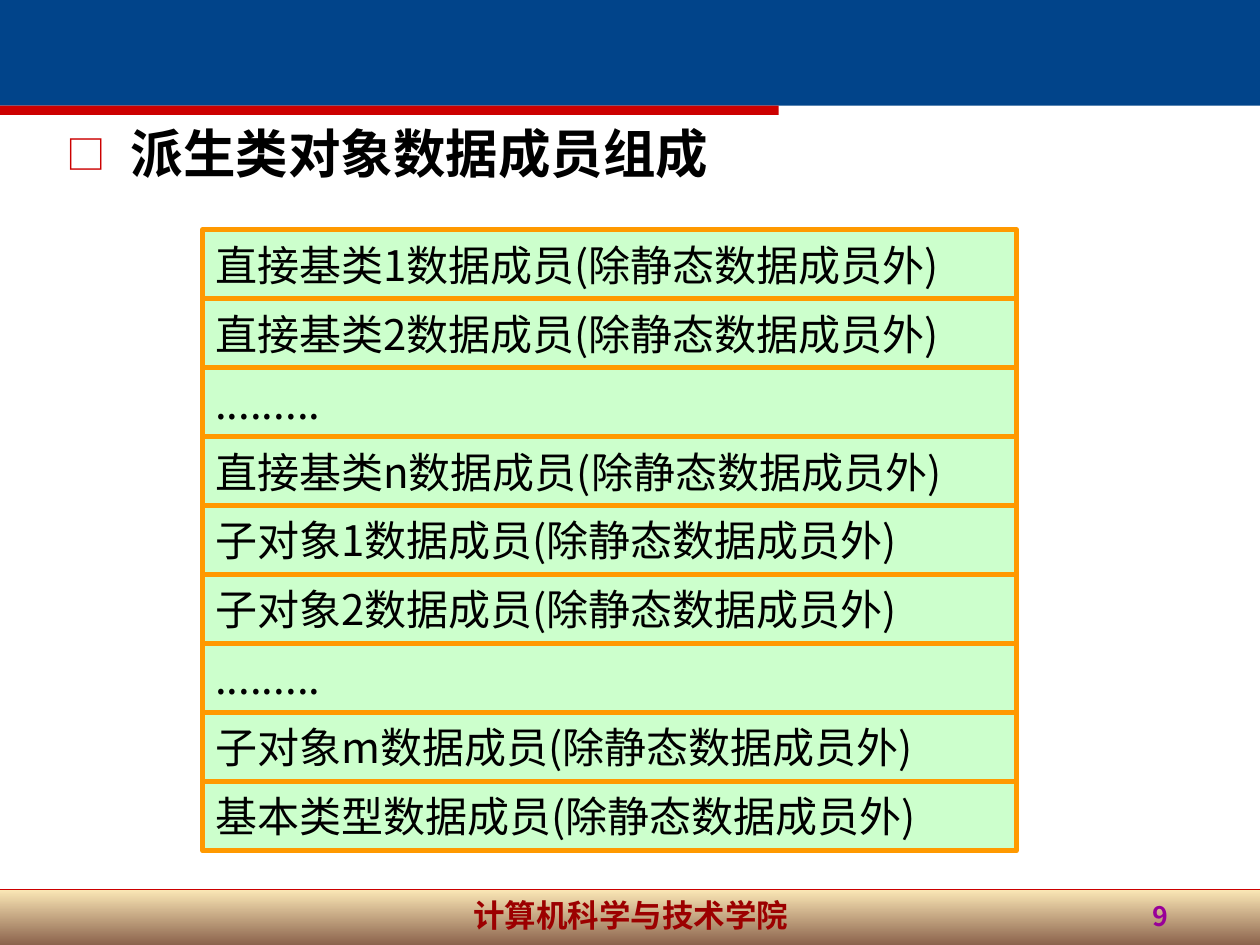
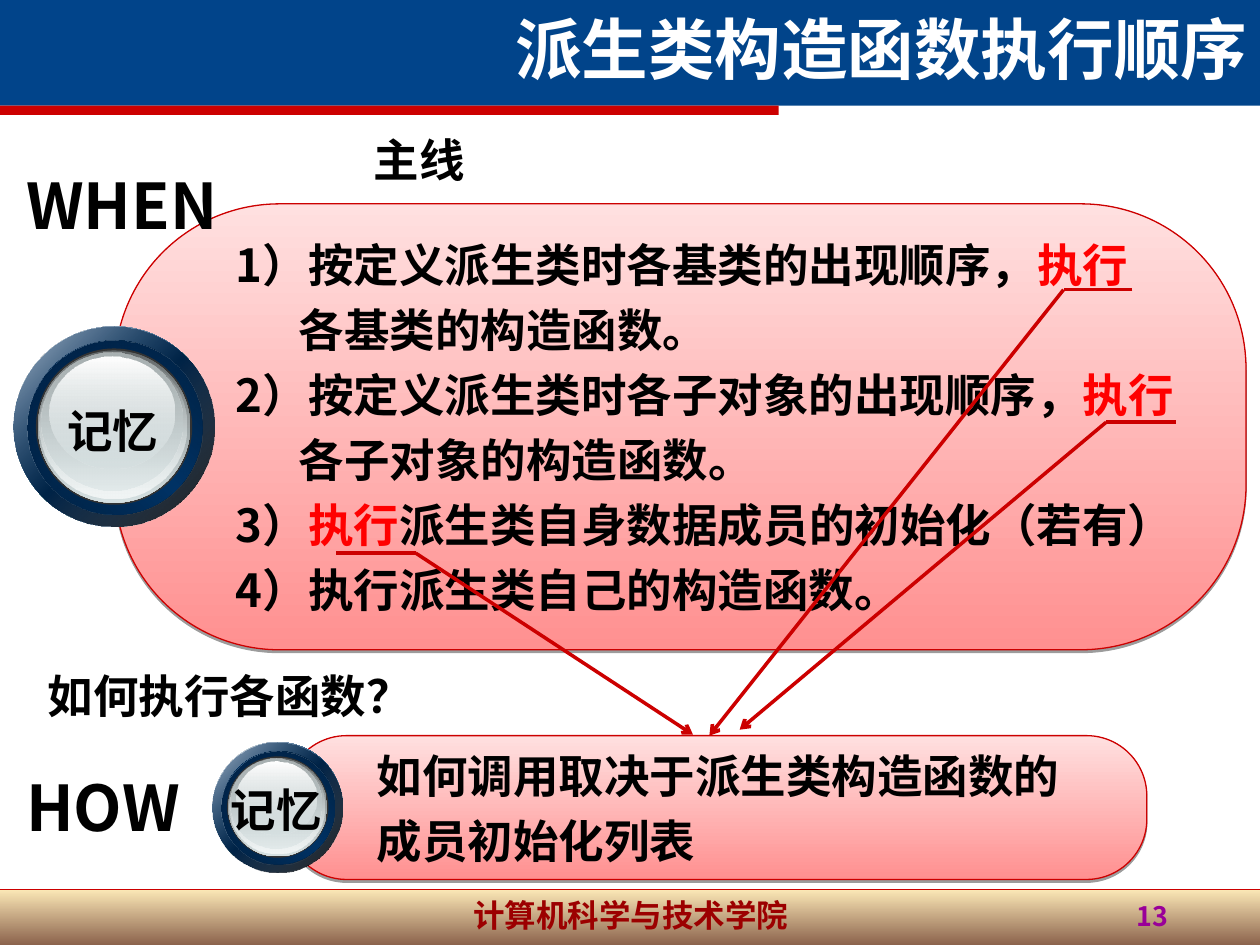
from lxml.etree import SubElement as Sub
from pptx import Presentation as Deck
from pptx.dml.color import RGBColor as Rgb
from pptx.enum.shapes import MSO_CONNECTOR as Wire, MSO_SHAPE as Form
from pptx.enum.text import MSO_ANCHOR as Anchor, PP_ALIGN as Align
from pptx.oxml.ns import qn
from pptx.util import Cm, Pt

FONT = "Noto Sans CJK SC"
HUES = {
    "navy": "01448A", "red": "CC0000", "hot": "FF0000", "wine": "9C0000",
    "plum": "990099", "black": "000000", "white": "FFFFFF",
    "mint": "CCFFCC", "gold": "FF9900", "sand": "FCE2A0", "brown": "663012",
    "rose": "FF9090", "blush": "FFE0E0", "deep": "003366", "ink": "001C37",
    "night": "002041", "coal": "333333", "slate": "636869",
    "mist": "D6E1E2", "pearl": "F1F5F5", "ash": "AAB2B3",
}

RINGS = [
    (0, 0, 1, 1, 45, [(0, "white", 100), (50, "deep", 100), (100, "white", 100)]),
    (0, 0, 1, 1, 45, [(0, "deep", 32), (100, "black", 90)]),
    (0.07, 0.07, 0.87, 0.87, 315, [(0, "ink", 100), (50, "deep", 100), (100, "ink", 100)]),
    (0.07, 0.07, 0.87, 0.87, 45, [(0, "night", 100), (100, "deep", 0)]),
    (0.11, 0.11, 0.78, 0.78, 0, "coal"),
    (0.12, 0.12, 0.76, 0.76, 90, [(0, "slate", 100), (100, "mist", 100)]),
    (0.13, 0.13, 0.73, 0.73, 90, [(0, "mist", 0), (100, "pearl", 100)]),
    (0.14, 0.13, 0.7, 0.69, 90, [(0, "ash", 100), (100, "mist", 48)]),
    (0.18, 0.15, 0.62, 0.56, 90, [(0, "white", 100), (100, "mist", 38)]),
]

ROWS = [
    "直接基类1数据成员(除静态数据成员外)",
    "直接基类2数据成员(除静态数据成员外)",
    ".........",
    "直接基类n数据成员(除静态数据成员外)",
    "子对象1数据成员(除静态数据成员外)",
    "子对象2数据成员(除静态数据成员外)",
    ".........",
    "子对象m数据成员(除静态数据成员外)",
    "基本类型数据成员(除静态数据成员外)",
]

STEPS = [
    ("1）按定义派生类时各基类的出现顺序，|执行", 1.22),
    ("各基类的构造函数。", 2.49),
    ("2）按定义派生类时各子对象的出现顺序，|执行", 1.22),
    ("各子对象的构造函数。", 2.49),
    ("3）|执行|派生类自身数据成员的初始化（若有）", 1.22),
    ("4）执行派生类自己的构造函数。", 1.22),
]

CALLS = [("如何调用取决于派生类构造函数的", 1.22), ("成员初始化列表", 1.22)]

LINKS = [
    (23.7, 22.3, 8.51, 14.91, 14.71),
    (6.78, 8.38, 11.15, 13.97, 14.81),
    (22.83, 21.44, 5.84, 14.3, 14.83),
]


def hue(name):
    return Rgb.from_string(HUES[name])


class Pen:
    def __init__(self):
        self.deck = Deck()
        self.deck.slide_width, self.deck.slide_height = Cm(25.4), Cm(19.05)

    def page(self, num):
        self.slide = self.deck.slides.add_slide(self.deck.slide_layouts[6])
        self.shape((0, 17.93, 25.4, 1.12), [(0, "sand", 75), (100, "brown", 75)], turn=90)
        self.wire((0, 17.93), (25.4, 17.93), 0.25)
        self.text((8.69, 17.93, 8.05, 1.12), "计算机科学与技术学院", 18, "wine", Align.CENTER)
        self.shape((0, 0, 25.4, 2.13), "navy")
        self.shape((0, 2.13, 15.7, 0.19), "red")
        self.text((18.29, 18.01, 5.51, 1.12), num, 15.3, "plum", Align.RIGHT)

    def blend(self, shape, stops, turn):
        shape.fill.background()
        old = shape._element.spPr.find(qn("a:noFill"))
        grad = old.makeelement(qn("a:gradFill"), {"rotWithShape": "1"})
        group = Sub(grad, qn("a:gsLst"))
        for pos, name, alpha in stops:
            stop = Sub(group, qn("a:gs"), pos=str(pos * 1000))
            tint = Sub(stop, qn("a:srgbClr"), val=HUES[name])
            if alpha < 100:
                Sub(tint, qn("a:alpha"), val=str(alpha * 1000))
        Sub(grad, qn("a:lin"), ang=str(turn * 60000), scaled="0")
        old.getparent().replace(old, grad)

    def shape(self, box, fill, form=Form.RECTANGLE, turn=0, edge=None, width=0.75):
        shape = self.slide.shapes.add_shape(form, *map(Cm, box))
        shape.shadow.inherit = False
        if isinstance(fill, str):
            shape.fill.solid()
            shape.fill.fore_color.rgb = hue(fill)
        else:
            self.blend(shape, fill, turn)
        if edge:
            shape.line.color.rgb = hue(edge)
            shape.line.width = Pt(width)
        else:
            shape.line.fill.background()
        return shape

    def style(self, para, size, tint="black", bold=True, align=Align.LEFT):
        para.alignment = align
        for run in para.runs:
            font = run.font
            font.size, font.bold, font.name = Pt(size), bold, FONT
            font.color.rgb = hue(tint)
            Sub(run._r.get_or_add_rPr(), qn("a:ea"), typeface=FONT)

    def text(self, box, words, size, tint="black", align=Align.LEFT,
             anchor=Anchor.TOP, wrap=True):
        frame = self.slide.shapes.add_textbox(*map(Cm, box)).text_frame
        frame.word_wrap, frame.vertical_anchor = wrap, anchor
        frame.text = words
        self.style(frame.paragraphs[0], size, tint, align=align)
        return frame.paragraphs[0]

    def bullet(self, box, words):
        para = self.text(box, words, 30)
        props = para._p.get_or_add_pPr()
        props.set("marL", str(Cm(1.3)))
        props.set("indent", str(-Cm(1.3)))
        Sub(Sub(props, qn("a:buClr")), qn("a:srgbClr"), val=HUES["red"])
        Sub(props, qn("a:buSzPct"), val="75000")
        Sub(props, qn("a:buFont"), typeface=FONT)
        Sub(props, qn("a:buChar"), char="□")

    def row(self, box, words):
        frame = self.shape(box, "mint", edge="gold", width=3).text_frame
        frame.word_wrap, frame.vertical_anchor = True, Anchor.MIDDLE
        frame.text = words
        self.style(frame.paragraphs[0], 24, bold=False)

    def panel(self, box, bend, lines):
        stops = [(0, "rose", 100), (100, "blush", 100)]
        shape = self.shape(box, stops, Form.ROUNDED_RECTANGLE, 270, "red")
        shape.adjustments[0] = bend
        glow = shape._element.spPr.find(qn("a:effectLst"))
        cast = Sub(glow, qn("a:outerShdw"), blurRad="0", dist=str(Pt(1.6)),
                   dir="5400000", rotWithShape="0")
        tint = Sub(cast, qn("a:srgbClr"), val=HUES["black"])
        Sub(tint, qn("a:alpha"), val="38000")
        frame = shape.text_frame
        frame.word_wrap, frame.vertical_anchor = False, Anchor.MIDDLE
        for i, (line, inset) in enumerate(lines):
            para = frame.add_paragraph() if i else frame.paragraphs[0]
            for part in line.split("|"):
                para.add_run().text = part
            self.style(para, 26)
            if i:
                para.space_before = Pt(6)
            for run in para.runs[1::2]:
                run.font.color.rgb = hue("hot")
            para._p.get_or_add_pPr().set("marL", str(Cm(inset)))

    def knob(self, left, top, size, words):
        for x, y, w, h, turn, fill in RINGS:
            box = left + x * size, top + y * size, w * size, h * size
            self.shape(box, fill, Form.OVAL, turn)
        box = left + size / 2 - 1.2, top + 0.52 * size - 0.69, 2.34, 1.37
        self.text(box, words, 26, align=Align.CENTER, anchor=Anchor.MIDDLE, wrap=False)

    def wire(self, start, end, width=2, head=False):
        wire = self.slide.shapes.add_connector(Wire.STRAIGHT, *map(Cm, start + end))
        wire.line.color.rgb = hue("red")
        wire.line.width = Pt(width)
        if head:
            Sub(wire.line._get_or_add_ln(), qn("a:tailEnd"), type="arrow")
        Sub(wire._element.spPr, qn("a:effectLst"))

    def note(self, box, words, size):
        self.text(box, words, size, anchor=Anchor.MIDDLE, wrap=False)


def main():
    pen = Pen()

    pen.page("9")
    pen.bullet((1.09, 2.31, 23.22, 15.39), "派生类对象数据成员组成")
    for i, words in enumerate(ROWS):
        pen.row((4.09, 4.63 + 1.39 * i, 16.4, 1.4), words)

    pen.page("13")
    pen.text((7.9, 0, 17.5, 1.9), "派生类构造函数执行顺序", 38, "white",
             Align.RIGHT, Anchor.BOTTOM)
    pen.panel((2.31, 4.11, 22.81, 8.99), 0.37, STEPS)
    pen.knob(0.28, 6.58, 4.04, "记忆")
    pen.note((0.28, 3.23, 4.45, 1.78), "WHEN", 36)
    pen.note((0.28, 15.37, 3.71, 1.78), "HOW", 36)
    pen.panel((5.77, 14.83, 17.35, 2.9), 0.42, CALLS)
    pen.knob(4.29, 14.96, 2.62, "记忆")
    pen.text((7.29, 2.51, 4.6, 1.4), "主线", 26, anchor=Anchor.MIDDLE)
    pen.note((0.71, 13.34, 7.85, 1.37), "如何执行各函数？", 26)
    for far, near, y, x, low in LINKS:
        pen.wire((near, y), (x, low), head=True)
        pen.wire((far, y), (near, y))

    pen.deck.save("out.pptx")


if __name__ == "__main__":
    main()
